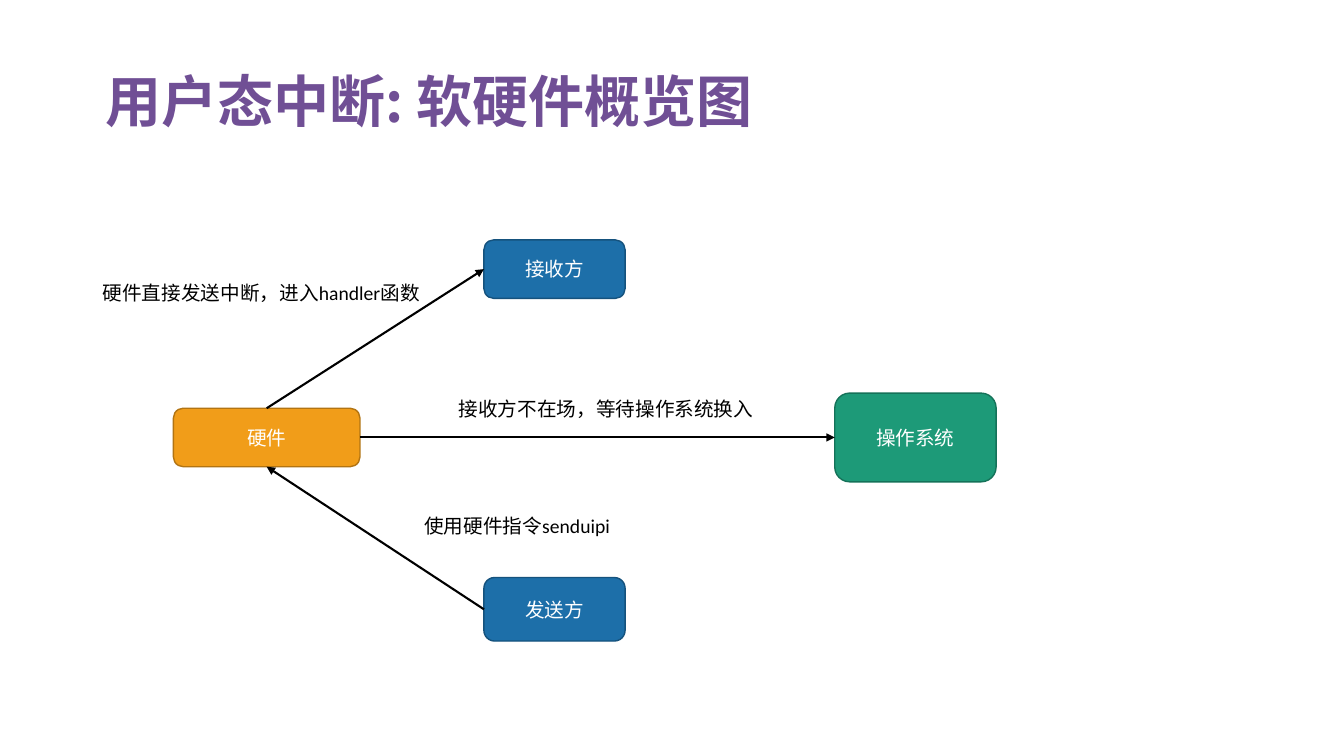
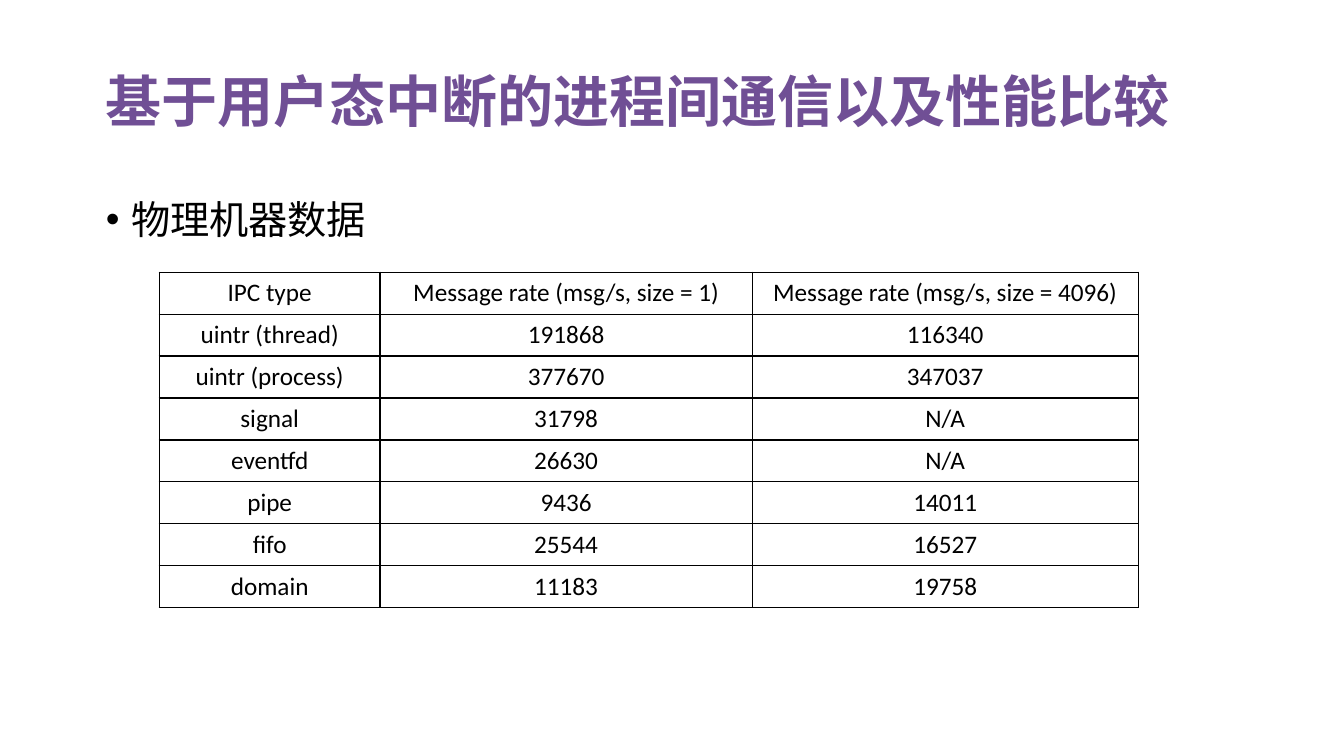
from lxml.etree import SubElement
from pptx import Presentation
from pptx.dml.color import RGBColor
from pptx.enum.shapes import MSO_CONNECTOR, MSO_SHAPE
from pptx.enum.text import MSO_ANCHOR as Anchor, MSO_AUTO_SIZE as AutoSize, PP_ALIGN as Align
from pptx.oxml import parse_xml
from pptx.oxml.ns import nsdecls, qn
from pptx.util import Inches, Pt

COLORS = {
    "title": "704F95", "text": "000000", "white": "FFFFFF",
    "blue": "1D6FA9", "blue_edge": "15527D",
    "green": "1D9A78", "green_edge": "157259",
    "orange": "F19D19", "orange_edge": "B27412",
}
CJK_FONT = "Noto Sans CJK SC"
TITLE_FONT = {"name": CJK_FONT, "size": Pt(40), "bold": True}
BODY_FONT = {"name": "Calibri", "size": Pt(28)}
TABLE_FONT = {"name": "Calibri", "size": Pt(18)}
DIAGRAM_FONT = {"name": "Calibri", "size": Pt(14)}
LEFT_TOP = {"word_wrap": True, "auto_size": AutoSize.NONE, "vertical_anchor": Anchor.TOP}
CENTERED = {"word_wrap": True, "vertical_anchor": Anchor.MIDDLE}
LABEL = {"word_wrap": True, "auto_size": AutoSize.SHAPE_TO_FIT_TEXT}

TITLE_LAYOUT, LIST_LAYOUT = 5, 1
TOP, LEFT, BOTTOM, RIGHT = range(4)
COLUMN_WIDTHS = (2.19, 3.69, 3.83)
MESSAGE_RATES = (
    ("IPC type", "Message rate (msg/s, size = 1)", "Message rate (msg/s, size = 4096)"),
    ("uintr (thread)", "191868", "116340"),
    ("uintr (process)", "377670", "347037"),
    ("signal", "31798", "N/A"),
    ("eventfd", "26630", "N/A"),
    ("pipe", "9436", "14011"),
    ("fifo", "25544", "16527"),
    ("domain", "11183", "19758"),
)


def rgb(color):
    """Return the named palette colour."""
    return RGBColor.from_string(COLORS[color])


def apply(target, values):
    """Set each attribute of the target from a dict of values."""
    for attribute, value in values.items():
        setattr(target, attribute, value)


def write(frame, text, font, color="text", align=Align.LEFT):
    """Write one formatted paragraph and return it."""
    paragraph = frame.paragraphs[0]
    paragraph.alignment = align
    run = paragraph.add_run()
    run.text = text
    apply(run.font, font)
    run.font.color.rgb = rgb(color)
    SubElement(run.font._element, qn("a:ea"), typeface=CJK_FONT)
    return paragraph


def place(shape, left, top, width, height):
    """Move and size a shape, in inches."""
    apply(shape, {"left": Inches(left), "top": Inches(top),
                  "width": Inches(width), "height": Inches(height)})


def add_titled_slide(deck, layout, title):
    """Add a slide with the shared title style."""
    slide = deck.slides.add_slide(deck.slide_layouts[layout])
    heading = slide.shapes.title
    place(heading, 0.95, 0.69, 10.97, 1.05)
    apply(heading.text_frame, LEFT_TOP)
    write(heading.text_frame, title, TITLE_FONT, "title").line_spacing = 0.9
    return slide


def add_bullet(slide, text):
    """Fill the body placeholder with one bullet."""
    body = slide.placeholders[1]
    place(body, 0.95, 1.94, 11.5, 4.76)
    apply(body.text_frame, LEFT_TOP)
    bullet = write(body.text_frame, text, BODY_FONT)
    apply(bullet, {"line_spacing": 0.9, "space_before": Pt(10)})
    indent = bullet._p.get_or_add_pPr()
    indent.set("marL", str(Inches(0.25)))
    indent.set("indent", str(Inches(-0.25)))


def add_node(slide, text, color, left, top, width, height):
    """Add a rounded box of the diagram."""
    node = slide.shapes.add_shape(MSO_SHAPE.ROUNDED_RECTANGLE, Inches(left), Inches(top),
                                  Inches(width), Inches(height))
    node.shadow.inherit = False
    node.fill.solid()
    node.fill.fore_color.rgb = rgb(color)
    node.line.color.rgb = rgb(color + "_edge")
    node.line.width = Pt(1)
    apply(node.text_frame, CENTERED)
    write(node.text_frame, text, DIAGRAM_FONT, "white", Align.CENTER)
    return node


def add_arrow(slide, source, source_side, target, target_side):
    """Join two nodes with an arrow."""
    arrow = slide.shapes.add_connector(MSO_CONNECTOR.STRAIGHT, 0, 0, 0, 0)
    arrow.begin_connect(source, source_side)
    arrow.end_connect(target, target_side)
    arrow.line.color.rgb = rgb("text")
    arrow.line.width = Pt(1.5)
    properties = arrow._element.spPr
    SubElement(properties.find(qn("a:ln")), qn("a:tailEnd"), type="triangle")
    SubElement(properties, qn("a:effectLst"))


def add_label(slide, text, left, top, width):
    """Add a text label beside an arrow."""
    label = slide.shapes.add_textbox(Inches(left), Inches(top), Inches(width), Inches(0.34))
    apply(label.text_frame, LABEL)
    write(label.text_frame, text, DIAGRAM_FONT)


def add_borders(cell):
    """Draw thin lines on all four sides of a cell."""
    properties = cell._tc.get_or_add_tcPr()
    for position, side in enumerate("LRTB"):
        properties.insert(position, parse_xml(
            f'<a:ln{side} {nsdecls("a")} w="{Pt(1)}"><a:solidFill>'
            f'<a:srgbClr val="{COLORS["text"]}"/></a:solidFill></a:ln{side}>'))


def add_grid(slide, rows, widths, left, top, height):
    """Add a plain table with thin borders."""
    grid = slide.shapes.add_table(len(rows), len(widths), Inches(left), Inches(top),
                                  Inches(sum(widths)), Inches(height)).table
    apply(grid, {"first_row": False, "horz_banding": False})
    for column, width in zip(grid.columns, widths):
        column.width = Inches(width)
    for row, texts in zip(grid.rows, rows):
        for cell, text in zip(row.cells, texts):
            cell.fill.background()
            cell.vertical_anchor = Anchor.MIDDLE
            write(cell.text_frame, text, TABLE_FONT, align=Align.CENTER)
            add_borders(cell)


def build_overview(deck):
    """Build the hardware and software overview."""
    slide = add_titled_slide(deck, TITLE_LAYOUT, "用户态中断: 软硬件概览图")
    system = add_node(slide, "操作系统", "green", 8.28, 3.9, 1.6, 0.88)
    sender = add_node(slide, "发送方", "blue", 4.8, 5.73, 1.4, 0.63)
    receiver = add_node(slide, "接收方", "blue", 4.8, 2.38, 1.4, 0.58)
    hardware = add_node(slide, "硬件", "orange", 1.72, 4.05, 1.85, 0.58)
    add_arrow(slide, hardware, TOP, receiver, LEFT)
    add_arrow(slide, sender, LEFT, hardware, BOTTOM)
    add_arrow(slide, hardware, RIGHT, system, LEFT)
    add_label(slide, "硬件直接发送中断，进入handler函数", 0.92, 2.74, 3.37)
    add_label(slide, "使用硬件指令senduipi", 4.11, 5.05, 2.06)
    add_label(slide, "接收方不在场，等待操作系统换入", 4.45, 3.89, 3.15)


def build_comparison(deck):
    """Build the performance comparison."""
    slide = add_titled_slide(deck, LIST_LAYOUT, "基于用户态中断的进程间通信以及性能比较")
    add_bullet(slide, "物理机器数据")
    add_grid(slide, MESSAGE_RATES, COLUMN_WIDTHS, 1.58, 2.7, 3.33)


def main():
    """Build and save the presentation."""
    deck = Presentation()
    apply(deck, {"slide_width": Inches(13.33), "slide_height": Inches(7.5)})
    build_overview(deck)
    build_comparison(deck)
    deck.save("out.pptx")


if __name__ == "__main__":
    main()
